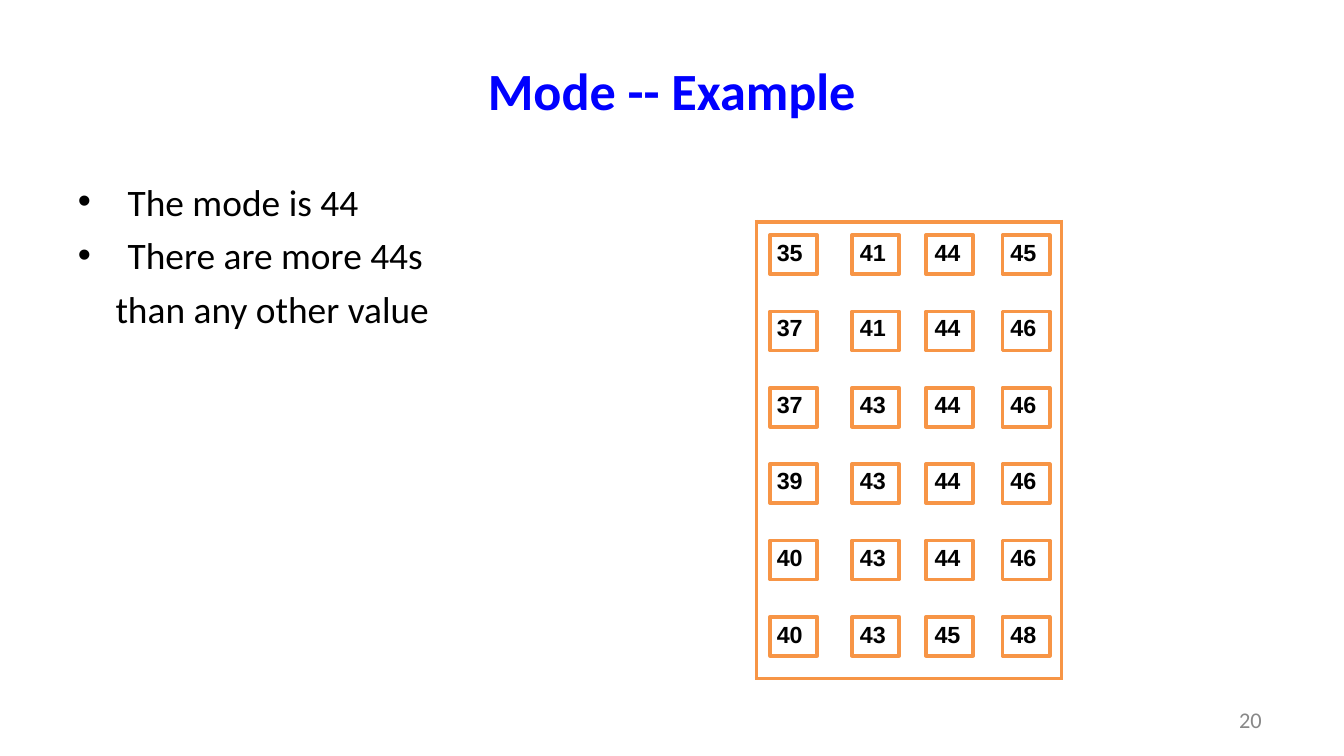
"""Build a slide that shows the mode of a sorted grid of numbers."""
from lxml.etree import SubElement
from pptx import Presentation
from pptx.dml.color import RGBColor
from pptx.enum.shapes import MSO_SHAPE
from pptx.enum.text import PP_ALIGN
from pptx.oxml.ns import qn
from pptx.util import Inches, Pt


def style(para, size, color, name="Calibri", bold=False, left=0, hang=0):
    font = para.font
    font.size, font.name, font.bold = Pt(size), name, bold
    font.color.rgb = RGBColor.from_string(color)
    props = para._p.get_or_add_pPr()
    props.set("marL", str(Inches(left)))
    props.set("indent", str(Inches(hang)))
    return props


def add_text(x, y, wide, high, top, lines):
    frame = slide.shapes.add_textbox(Inches(x), Inches(y), Inches(wide), Inches(high)).text_frame
    frame.word_wrap = True
    frame.margin_left = frame.margin_right = frame.margin_bottom = 0
    frame.margin_top = Inches(top)
    frame.text = "\n".join(lines)
    return frame.paragraphs


ORANGE = "F79546"
VALUES = [
    [35, 41, 44, 45],
    [37, 41, 44, 46],
    [37, 43, 44, 46],
    [39, 43, 44, 46],
    [40, 43, 44, 46],
    [40, 43, 45, 48],
]
WIDTHS = [0.56, 0.58, 0.56, 0.57]
HEIGHTS = [0.53, 0.57, 0.57, 0.57, 0.57, 0.59]
LEFTS = [5.73, 6.34, 6.89, 7.46]
BOX_W, BOX_H = 0.35, 0.29
TOP, PITCH = 1.75, 2.84 / 5

deck = Presentation()
deck.slide_width = Inches(10)
deck.slide_height = deck.slide_width * 9 // 16
slide = deck.slides.add_slide(deck.slide_layouts[6])

points = add_text(0.56, 1.25, 2.64, 1.23, 0.08,
                  ["The mode is 44", "There are more 44s", "than any other value"])
for row, para in enumerate(points):
    para.space_before = Pt(4.8 if row else 5.8)
    if row < 2:
        props = style(para, 20, "000000", left=0.39, hang=-0.37)
        SubElement(props, qn("a:buFont")).set("typeface", "Arial")
        SubElement(props, qn("a:buChar")).set("char", "•")
    else:
        style(para, 20, "000000", left=0.3)

panel = slide.shapes.add_shape(MSO_SHAPE.RECTANGLE, Inches(5.65), Inches(1.65), Inches(2.27), Inches(3.4))
panel.shadow.inherit = False
panel.fill.solid()
panel.fill.fore_color.rgb = RGBColor.from_string("FFFFFF")
panel.line.fill.background()

pen = slide.shapes.build_freeform(Inches(LEFTS[0]), Inches(TOP))
for x in LEFTS:
    for row in range(len(VALUES)):
        y = TOP + row * PITCH
        pen.move_to(Inches(x), Inches(y))
        ring = [(x + BOX_W, y), (x + BOX_W, y + BOX_H), (x, y + BOX_H)]
        pen.add_line_segments([(Inches(a), Inches(b)) for a, b in ring], close=True)
boxes = pen.convert_to_shape()
boxes.shadow.inherit = False
boxes.fill.background()
boxes.line.color.rgb = RGBColor.from_string(ORANGE)
boxes.line.width = Pt(2)

table = slide.shapes.add_table(len(HEIGHTS), len(WIDTHS), Inches(5.63), Inches(1.65),
                               Inches(sum(WIDTHS)), Inches(sum(HEIGHTS))).table
table.first_row = table.horz_banding = False
table._tbl.tblPr[0].text = "{2D5ABB26-0587-4C30-8999-92F81FD0307C}"
for col, wide in enumerate(WIDTHS):
    table.columns[col].width = Inches(wide)
for row, high in enumerate(HEIGHTS):
    table.rows[row].height = Inches(high)
    for col, value in enumerate(VALUES[row]):
        cell = table.cell(row, col)
        cell.margin_left = cell.margin_right = cell.margin_bottom = 0
        cell.margin_top = Inches(0.17 if row else 0.14)
        cell.text = str(value)
        para = cell.text_frame.paragraphs[0]
        para.alignment = PP_ALIGN.CENTER if col else PP_ALIGN.LEFT
        style(para, 12.5, "000000", "Arial", True, left=[0.15, 0.03, 0, 0][col])
        edges = {"L": col == 0, "R": col == 3, "T": row == 0, "B": row == 5}
        for side, outer in edges.items():
            if outer:
                line = SubElement(cell._tc.get_or_add_tcPr(), qn("a:ln" + side), w=str(Pt(2.25)))
                SubElement(SubElement(line, qn("a:solidFill")), qn("a:srgbClr"), val=ORANGE)
        cell.fill.background()

number = add_text(9.19, 5.27, 0.26, 0.2, 0, ["20"])[0]
number.line_spacing = Pt(13.2)
style(number, 12, "888888", left=0.03)

title = add_text(0.9, 0.21, 8.27, 0.79, 0.22, ["Mode -- Example"])[0]
style(title, 28, "0000FF", bold=True, left=2.73)

deck.save("out.pptx")
